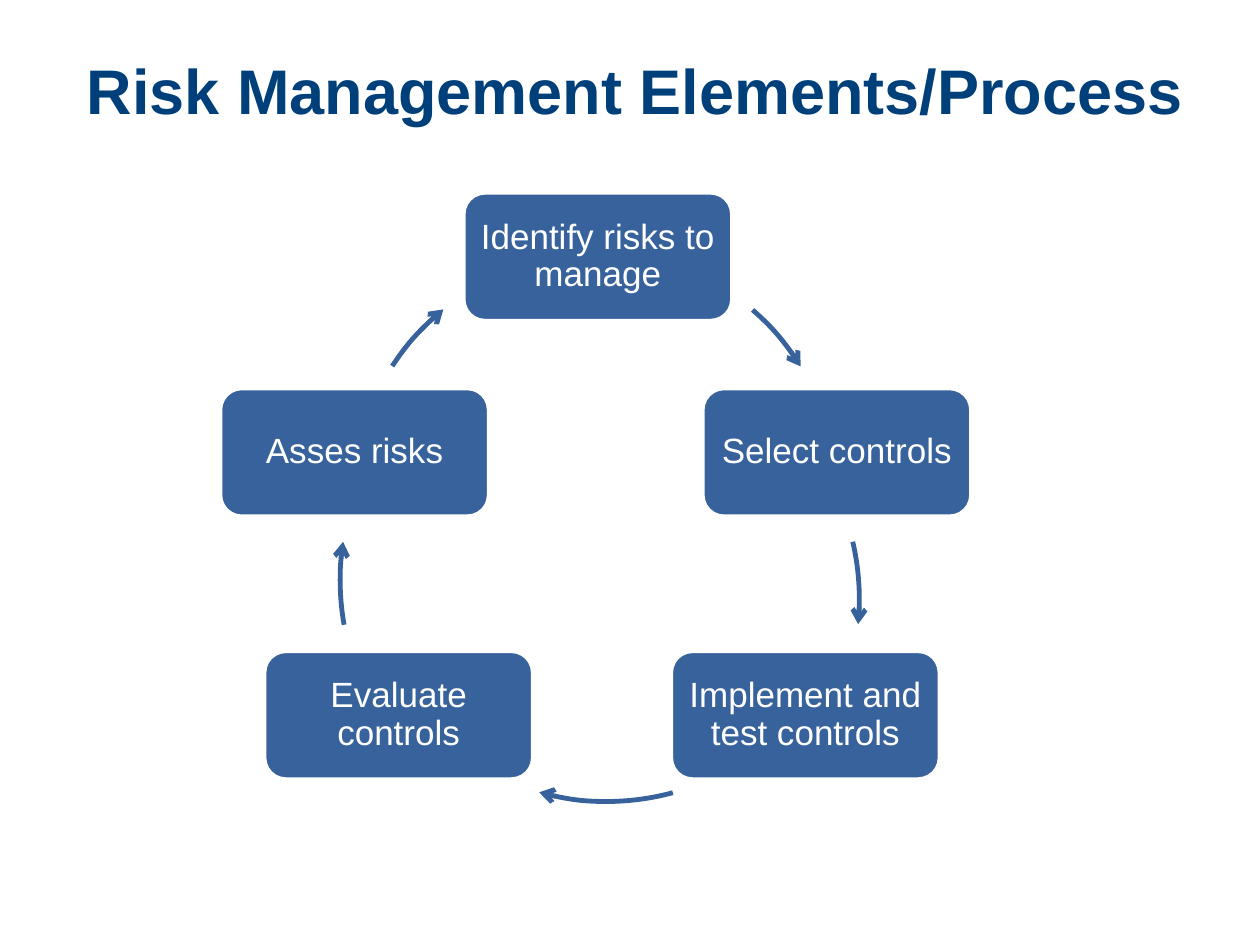
from dataclasses import dataclass

from lxml.etree import SubElement
from pptx import Presentation
from pptx.dml.color import RGBColor
from pptx.enum.shapes import MSO_SHAPE as Shape
from pptx.enum.text import MSO_ANCHOR as Anchor, PP_ALIGN as Align
from pptx.oxml.ns import qn
from pptx.util import Pt


@dataclass(frozen=True)
class Theme:
    font: str = "Arial"
    navy: RGBColor = RGBColor(0x00, 0x40, 0x7A)
    blue: RGBColor = RGBColor(0x38, 0x62, 0x9C)
    white: RGBColor = RGBColor(0xFF, 0xFF, 0xFF)
    title_size: int = 36
    step_size: int = 20
    outline: float = 2
    arrow_width: float = 2.75


THEME = Theme()
STEP_WIDTH, STEP_HEIGHT = 153.2, 73
ORBIT = 290.2

STEPS = [
    ("Identify risks to manage", 139, 0),
    ("Select controls", 275.6, 111.8),
    ("Implement and test controls", 257.6, 262),
    ("Evaluate controls", 25.2, 262),
    ("Asses risks", 0, 111.8),
]
ARROWS = [
    (63.4, 31, 311.2, 328),
    (74.9, 87.2, 346.9, 5.6),
    (75.6, 57.6, 74.9, 105.4),
    (68.4, 76.3, 169.9, 188.7),
    (74.2, 33.8, 213.4, 230.7),
]


def style_text(paragraph, size, color, bold=False):
    font = paragraph.font
    font.name, font.size, font.bold = THEME.font, Pt(size), bold
    font.color.rgb = color


def add_title(slide, left, top, width, height):
    title = slide.shapes.title
    title.left, title.top = Pt(left), Pt(top)
    title.width, title.height = Pt(width), Pt(height)
    frame = title.text_frame
    frame.text = "Risk Management Elements/Process"
    frame.vertical_anchor = Anchor.MIDDLE
    heading = frame.paragraphs[0]
    heading.alignment = Align.LEFT
    style_text(heading, THEME.title_size, THEME.navy, bold=True)


def add_step(slide, label, left, top):
    step = slide.shapes.add_shape(
        Shape.ROUNDED_RECTANGLE, Pt(left), Pt(top), Pt(STEP_WIDTH), Pt(STEP_HEIGHT)
    )
    step.shadow.inherit = False
    step.fill.solid()
    step.fill.fore_color.rgb = THEME.blue
    step.line.color.rgb = THEME.white
    step.line.width = Pt(THEME.outline)
    frame = step.text_frame
    frame.word_wrap = True
    frame.vertical_anchor = Anchor.MIDDLE
    frame.margin_left = frame.margin_right = Pt(5.5)
    frame.margin_top = frame.margin_bottom = Pt(5.5)
    frame.text = label
    caption = frame.paragraphs[0]
    caption.alignment = Align.CENTER
    caption.line_spacing = 0.9
    style_text(caption, THEME.step_size, THEME.white)


def add_arrow(slide, left, top, start, end):
    arrow = slide.shapes.add_shape(
        Shape.ARC, Pt(left), Pt(top), Pt(ORBIT), Pt(ORBIT)
    )
    arrow.shadow.inherit = False
    arrow.fill.background()
    for index, degrees in enumerate((start, end)):
        arrow.adjustments[index] = degrees * 0.6
    arrow.line.color.rgb = THEME.blue
    arrow.line.width = Pt(THEME.arrow_width)
    outline = arrow.line.fill._xPr
    SubElement(outline, qn("a:tailEnd"), type="arrow")


def add_cycle(slide, left, top):
    for step, arrow in zip(STEPS, ARROWS):
        label, step_x, step_y = step
        add_step(slide, label, left + step_x, top + step_y)
        arrow_x, arrow_y, start, end = arrow
        add_arrow(slide, left + arrow_x, top + arrow_y, start, end)


def main():
    deck = Presentation()
    deck.slide_width, deck.slide_height = Pt(720), Pt(540)
    slide = deck.slides.add_slide(deck.slide_layouts[5])
    add_title(slide, 42.5, 23.8, 653.8, 54)
    add_cycle(slide, 126, 110.2)
    deck.save("out.pptx")


if __name__ == "__main__":
    main()
